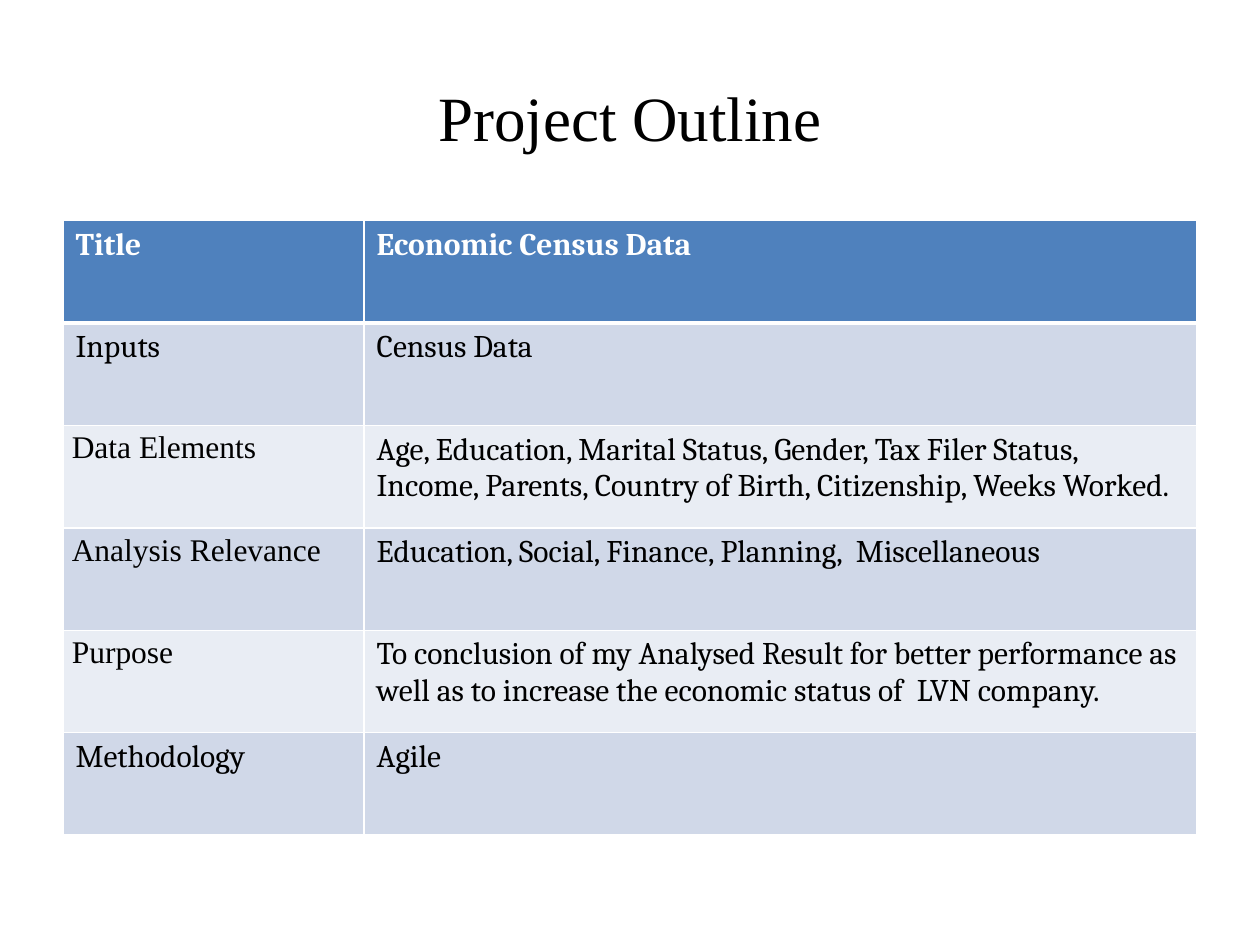
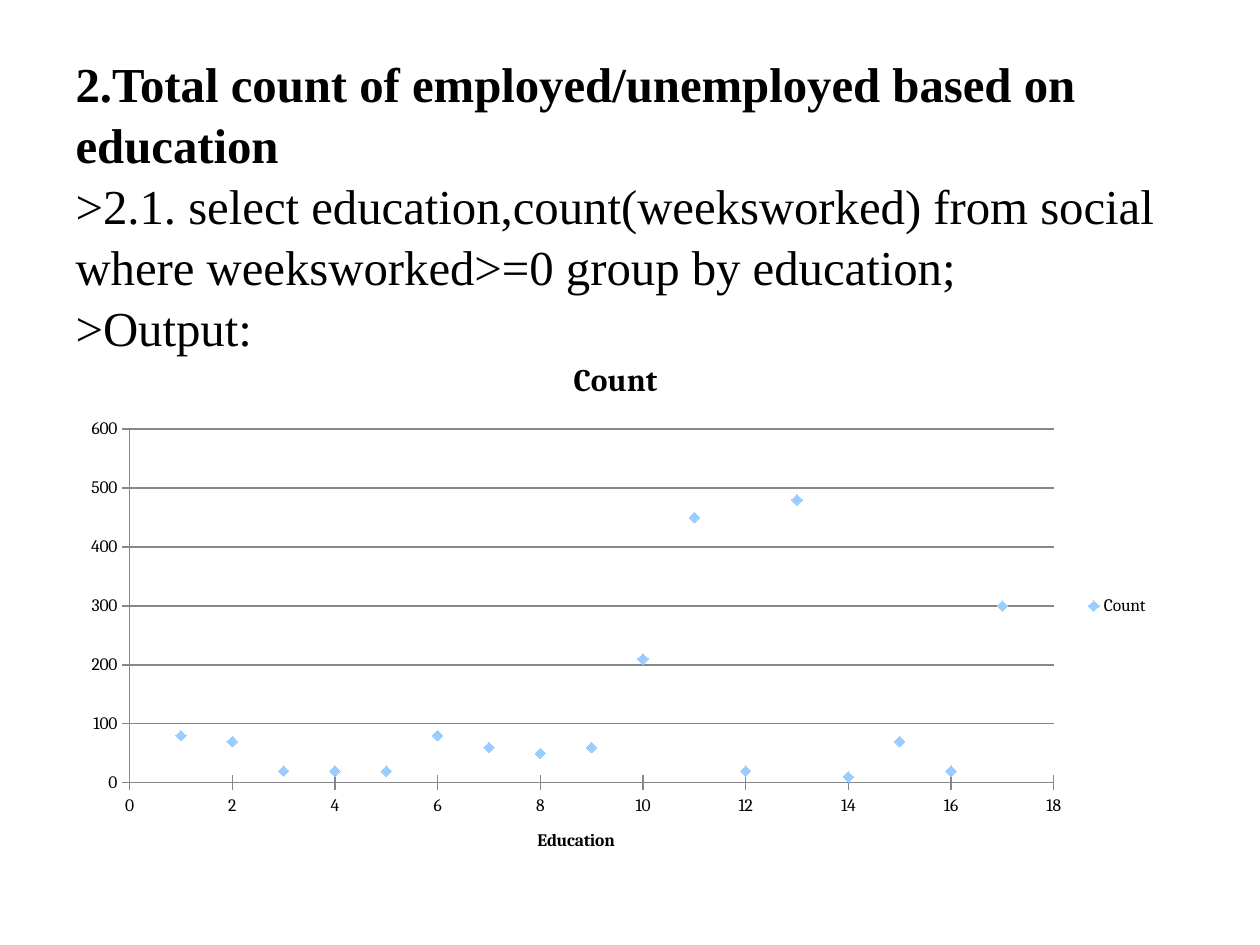
from lxml import etree
from pptx import Presentation
from pptx.chart.data import XyChartData
from pptx.dml.color import RGBColor
from pptx.enum.chart import XL_CHART_TYPE, XL_LEGEND_POSITION, XL_MARKER_STYLE, XL_TICK_MARK
from pptx.enum.text import MSO_ANCHOR, PP_ALIGN
from pptx.oxml.ns import qn
from pptx.util import Inches, Pt

SCATTER = XL_CHART_TYPE.XY_SCATTER
LEGEND_RIGHT = XL_LEGEND_POSITION.RIGHT
DIAMOND = XL_MARKER_STYLE.DIAMOND
CROSS = XL_TICK_MARK.CROSS
TOP, MIDDLE = MSO_ANCHOR.TOP, MSO_ANCHOR.MIDDLE
LEFT, CENTER, JUSTIFY = PP_ALIGN.LEFT, PP_ALIGN.CENTER, PP_ALIGN.JUSTIFY

COLORS = {
    name: RGBColor.from_string(value)
    for name, value in {
        "text": "000000", "white": "FFFFFF", "header": "4F81BD",
        "odd": "D0D8E8", "even": "E9EDF4", "marker": "99CCFF", "grid": "878787",
    }.items()
}
SERIF, BODY = "Times New Roman", "Cambria"


def style_font(font, name, size, color="text", bold=False):
    font.name, font.size, font.bold = name, Pt(size), bold
    font.color.rgb = COLORS[color]


def add_titled_slide(lines, box, size, align, anchor):
    """Add a title-only slide; lines holds (text, bold) pairs."""
    slide = prs.slides.add_slide(prs.slide_layouts[5])
    title = slide.shapes.title
    title.left, title.top, title.width, title.height = map(Inches, box)
    frame = title.text_frame
    frame.word_wrap = True
    frame.vertical_anchor = anchor
    frame.text = "\n".join(text for text, _ in lines)
    for paragraph, (_, bold) in zip(frame.paragraphs, lines):
        paragraph.alignment = align
        style_font(paragraph.font, SERIF, size, bold=bold)
    return slide


prs = Presentation()
prs.slide_width, prs.slide_height = Inches(10), Inches(7.5)

# Slide 1: project outline
outline_slide = add_titled_slide(
    [("Project Outline", False)], (0.5, 0.3, 9, 1.25), 36, CENTER, MIDDLE)

outline_rows = [
    ("Title", "Economic Census Data"),
    ("Inputs", "Census Data"),
    ("Data Elements", "Age, Education, Marital Status, Gender, Tax Filer Status, "
     "Income, Parents, Country of Birth, Citizenship, Weeks Worked."),
    ("Analysis Relevance", "Education, Social, Finance, Planning,  Miscellaneous"),
    ("Purpose", "To conclusion of my Analysed Result for better performance as "
     "well as to increase the economic status of  LVN company."),
    ("Methodology", "Agile"),
]
justified_labels = {"Data Elements", "Analysis Relevance", "Purpose"}

outline = outline_slide.shapes.add_table(
    len(outline_rows), 2, Inches(0.5), Inches(1.75), Inches(9), Inches(4.88)).table
outline.columns[0].width = Inches(2.39)
outline.columns[1].width = Inches(6.61)

for row, texts in enumerate(outline_rows):
    is_header = row == 0
    for col, text in enumerate(texts):
        cell = outline.cell(row, col)
        cell.text = text
        paragraph = cell.text_frame.paragraphs[0]
        is_justified = text in justified_labels
        if is_justified:
            cell.margin_left = cell.margin_right = Inches(0.07)
            cell.margin_top = cell.margin_bottom = 0
            paragraph.alignment = JUSTIFY
            paragraph.line_spacing = 1.15
        style_font(paragraph.font, SERIF if is_justified else BODY, 18,
                   "white" if is_header else "text", is_header)

        # White borders, thicker around the header's lower edge
        cell_props = cell._tc.get_or_add_tcPr()
        for side in ("lnL", "lnR", "lnT", "lnB"):
            thick = (is_header and side == "lnB") or (row == 1 and side == "lnT")
            line = etree.SubElement(cell_props, qn(f"a:{side}"), w=str(Pt(3 if thick else 1)))
            line_fill = etree.SubElement(line, qn("a:solidFill"))
            etree.SubElement(line_fill, qn("a:srgbClr"), val=str(COLORS["white"]))
        cell.fill.solid()
        cell.fill.fore_color.rgb = COLORS["header" if is_header else "odd" if row % 2 else "even"]

# Slide 2: query and its output
query_slide = add_titled_slide(
    [("2.Total count of employed/unemployed based on education", True),
     (">2.1. select education,count(weeksworked) from social "
      "where weeksworked>=0 group by education;", False),
     (">Output:", False)],
    (0.5, 0.36, 9.03, 2.4), 27.9, LEFT, TOP)
for paragraph in query_slide.shapes.title.text_frame.paragraphs:
    paragraph.line_spacing = 1.04

counts = [80, 70, 20, 20, 20, 80, 60, 50, 60, 210, 450, 20, 480, 10, 70, 20, 300]
chart_data = XyChartData()
count_points = chart_data.add_series("Count")
for education, count in enumerate(counts, start=1):
    count_points.add_data_point(education, count)

chart = query_slide.shapes.add_chart(
    SCATTER, Inches(0.55), Inches(2.66), Inches(8.67), Inches(4.3), chart_data).chart
style_font(chart.font, BODY, 10)
chart.has_title = True
chart.has_legend = True
chart.legend.position = LEGEND_RIGHT
chart.legend.include_in_layout = False

# Axes and titles
education_axis, count_axis = chart.category_axis, chart.value_axis
for axis, maximum, step in ((education_axis, 18, 2), (count_axis, 600, 100)):
    axis.minimum_scale, axis.maximum_scale, axis.major_unit = 0, maximum, step
    axis.major_tick_mark = CROSS
    axis.format.line.color.rgb = COLORS["grid"]
education_axis.has_major_gridlines = False
count_axis.has_major_gridlines = True
count_axis.major_gridlines.format.line.color.rgb = COLORS["grid"]

for heading, text, size in ((chart.chart_title, "Count", 18),
                            (education_axis.axis_title, "Education", 10)):
    heading.text_frame.text = text
    style_font(heading.text_frame.paragraphs[0].font, BODY, size, bold=True)

# Diamond markers without a joining line
chart.plots[0].vary_by_categories = False
count_series = chart.plots[0].series[0]
count_series.smooth = False
count_series.format.line.fill.background()
marker = count_series.marker
marker.style, marker.size = DIAMOND, 6
marker.format.fill.solid()
marker.format.fill.fore_color.rgb = COLORS["marker"]
marker.format.line.fill.background()

prs.save("out.pptx")
